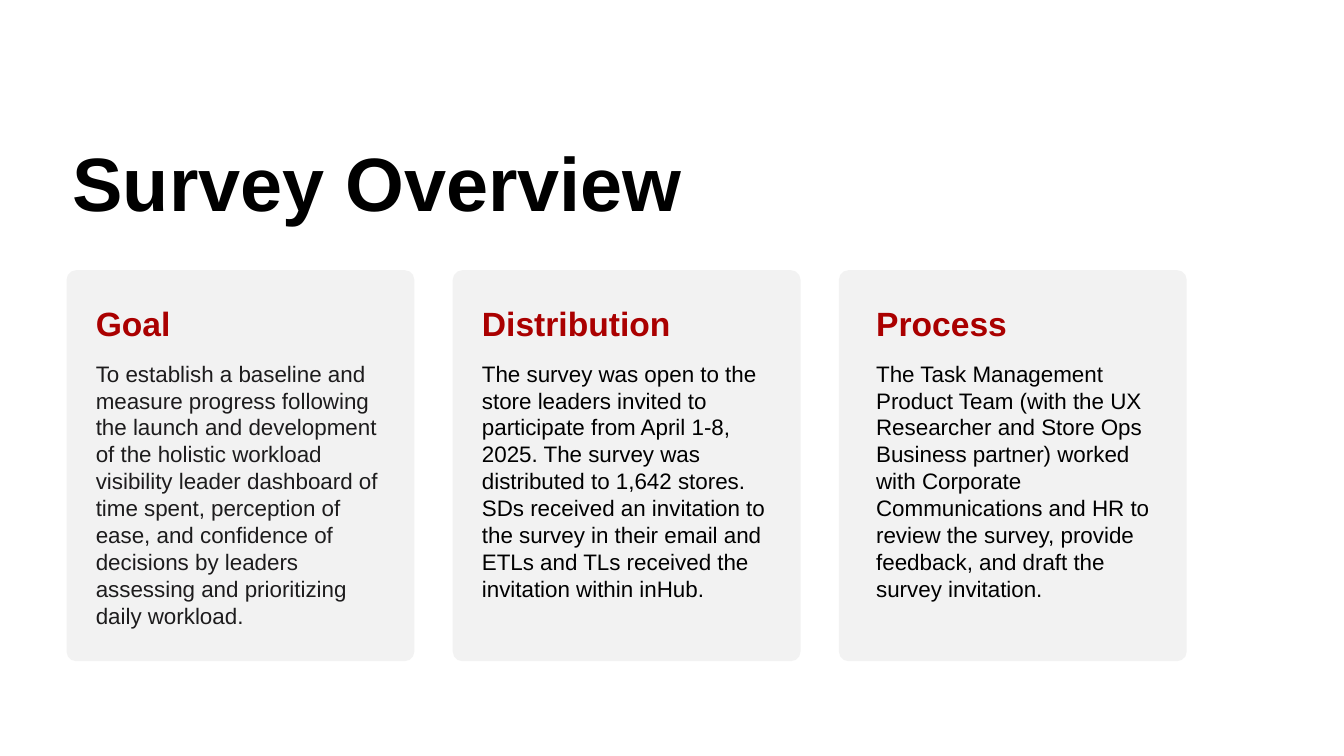
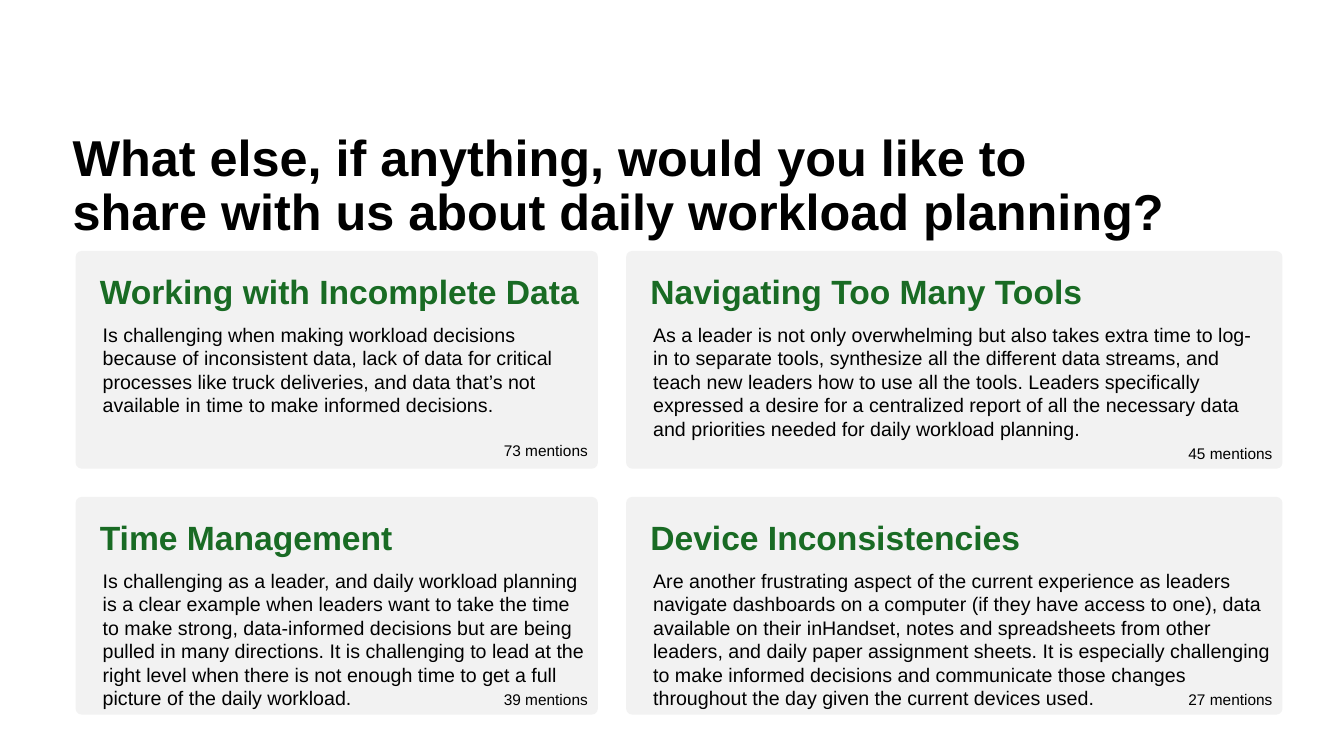
from dataclasses import dataclass

import pptx
import pptx.dml.color
import pptx.enum.shapes
import pptx.enum.text
import pptx.presentation
import pptx.shapes.base
import pptx.slide
import pptx.text.text
import pptx.util
from pptx.util import Inches

FONT = "Arial"
BLACK = "000000"
CHARCOAL = "1D1C1D"
RED = "AA0000"
GREEN = "196B24"
CARD_GREY = "F2F2F2"
CORNER_RATIO = 0.028
TIGHT_INSET = 0.03
NORMAL_INSET = 0.1
TITLE_ONLY_LAYOUT = 5


@dataclass(frozen=True)
class Box:
    left: float
    top: float
    width: float
    height: float


@dataclass(frozen=True)
class TextStyle:
    size: float
    color: str = BLACK
    bold: bool = False
    inset: float = NORMAL_INSET
    alignment: pptx.enum.text.PP_ALIGN = pptx.enum.text.PP_ALIGN.LEFT


@dataclass(frozen=True)
class OverviewCard:
    heading: str
    body: str
    body_color: str = BLACK
    indent: float = 0.26


@dataclass(frozen=True)
class ThemeCard:
    heading: str
    body: str
    mentions: str
    row: int
    column: int
    body_width: float
    mentions_top: float


TITLE_BOX = Box(0.62, 1.14, 11.04, 1.43)
MENTIONS_STYLE = TextStyle(11, alignment=pptx.enum.text.PP_ALIGN.RIGHT)

OVERVIEW_CARDS = [
    OverviewCard(
        "Goal",
        "To establish a baseline and measure progress following the launch and "
        "development of the holistic workload visibility leader dashboard of time "
        "spent, perception of ease, and confidence of decisions by leaders "
        "assessing and prioritizing daily workload.",
        body_color=CHARCOAL,
    ),
    OverviewCard(
        "Distribution",
        "The survey was open to the store leaders invited to participate from "
        "April 1-8, 2025. The survey was distributed to 1,642 stores. SDs received "
        "an invitation to the survey in their email and ETLs and TLs received the "
        "invitation within inHub.",
    ),
    OverviewCard(
        "Process",
        "The Task Management Product Team (with the UX Researcher and Store Ops "
        "Business partner) worked with Corporate Communications and HR to review "
        "the survey, provide feedback, and draft the survey invitation.",
        indent=0.34,
    ),
]

THEME_CARDS = [
    ThemeCard(
        "Working with Incomplete Data",
        "Is challenging when making workload decisions because of inconsistent "
        "data, lack of data for critical processes like truck deliveries, and data "
        "that’s not available in time to make informed decisions.",
        "73 mentions", row=0, column=0, body_width=4.86, mentions_top=4.33,
    ),
    ThemeCard(
        "Navigating Too Many Tools",
        "As a leader is not only overwhelming but also takes extra time to log-in "
        "to separate tools, synthesize all the different data streams, and teach "
        "new leaders how to use all the tools. Leaders specifically expressed a "
        "desire for a centralized report of all the necessary data and priorities "
        "needed for daily workload planning.",
        "45 mentions", row=0, column=1, body_width=6.16, mentions_top=4.36,
    ),
    ThemeCard(
        "Time Management",
        "Is challenging as a leader, and daily workload planning is a clear example "
        "when leaders want to take the time to make strong, data-informed decisions "
        "but are being pulled in many directions. It is challenging to lead at the "
        "right level when there is not enough time to get a full picture of the "
        "daily workload.",
        "39 mentions", row=1, column=0, body_width=5.01, mentions_top=6.8,
    ),
    ThemeCard(
        "Device Inconsistencies",
        "Are another frustrating aspect of the current experience as leaders "
        "navigate dashboards on a computer (if they have access to one), data "
        "available on their inHandset, notes and spreadsheets from other leaders, "
        "and daily paper assignment sheets. It is especially challenging to make "
        "informed decisions and communicate those changes throughout the day given "
        "the current devices used.",
        "27 mentions", row=1, column=1, body_width=6.33, mentions_top=6.8,
    ),
]


def rgb(color: str) -> pptx.dml.color.RGBColor:
    return pptx.dml.color.RGBColor.from_string(color)


def format_paragraph(paragraph: pptx.text.text._Paragraph, style: TextStyle) -> None:
    paragraph.alignment = style.alignment
    for run in paragraph.runs:
        run.font.name = FONT
        run.font.size = pptx.util.Pt(style.size)
        run.font.bold = style.bold
        run.font.color.rgb = rgb(style.color)


def add_titled_slide(
    presentation: pptx.presentation.Presentation, title: str, size: float
) -> pptx.slide.Slide:
    slide = presentation.slides.add_slide(presentation.slide_layouts[TITLE_ONLY_LAYOUT])
    shape = slide.shapes.title
    shape.left, shape.top = Inches(TITLE_BOX.left), Inches(TITLE_BOX.top)
    shape.width, shape.height = Inches(TITLE_BOX.width), Inches(TITLE_BOX.height)
    text_frame = shape.text_frame
    text_frame.text = title
    text_frame.word_wrap = True
    text_frame.auto_size = pptx.enum.text.MSO_AUTO_SIZE.NONE
    text_frame.vertical_anchor = pptx.enum.text.MSO_ANCHOR.MIDDLE
    paragraph = text_frame.paragraphs[0]
    paragraph.line_spacing = 0.9
    format_paragraph(paragraph, TextStyle(size, bold=True))
    return slide


def add_card(slide: pptx.slide.Slide, box: Box) -> None:
    shape = slide.shapes.add_shape(
        pptx.enum.shapes.MSO_SHAPE.ROUNDED_RECTANGLE,
        Inches(box.left), Inches(box.top), Inches(box.width), Inches(box.height),
    )
    shape.adjustments[0] = CORNER_RATIO
    shape.shadow.inherit = False
    shape.fill.solid()
    shape.fill.fore_color.rgb = rgb(CARD_GREY)
    shape.line.fill.background()


def add_text(slide: pptx.slide.Slide, box: Box, text: str, style: TextStyle) -> None:
    shape = slide.shapes.add_textbox(
        Inches(box.left), Inches(box.top), Inches(box.width), Inches(box.height)
    )
    text_frame = shape.text_frame
    text_frame.text = text
    text_frame.word_wrap = True
    text_frame.auto_size = pptx.enum.text.MSO_AUTO_SIZE.SHAPE_TO_FIT_TEXT
    text_frame.margin_left = text_frame.margin_right = Inches(style.inset)
    text_frame.margin_top = text_frame.margin_bottom = Inches(min(style.inset, 0.05))
    format_paragraph(text_frame.paragraphs[0], style)


def add_heading(slide: pptx.slide.Slide, box: Box, text: str, color: str) -> None:
    add_text(slide, box, text, TextStyle(24, color, bold=True, inset=TIGHT_INSET))


def build_overview(presentation: pptx.presentation.Presentation) -> None:
    slide = add_titled_slide(presentation, "Survey Overview", 54)
    first_left, top, width, height = 0.66, 2.68, 3.45, 3.88
    gap = 0.38
    text_width = 2.91
    for index, card in enumerate(OVERVIEW_CARDS):
        left = first_left + index * (width + gap)
        text_left = left + card.indent
        add_card(slide, Box(left, top, width, height))
        add_heading(slide, Box(text_left, top + 0.3, text_width, 0.46), card.heading, RED)
        add_text(
            slide, Box(text_left, top + 0.86, text_width, 2.75), card.body,
            TextStyle(16, card.body_color, inset=TIGHT_INSET),
        )


def build_themes(presentation: pptx.presentation.Presentation) -> None:
    slide = add_titled_slide(
        presentation,
        "What else, if anything, would you like to share with us about daily "
        "workload planning?",
        36,
    )
    first_left, first_top, height, gap = 0.75, 2.49, 2.16, 0.28
    widths = (5.18, 6.51)
    mentions_width = 1.38
    for card in THEME_CARDS:
        left = first_left + card.column * (widths[0] + gap)
        top = first_top + card.row * (height + gap)
        width = widths[card.column]
        add_card(slide, Box(left, top, width, height))
        add_heading(
            slide, Box(left + 0.21, top + 0.17, width - 0.21, 0.46), card.heading, GREEN
        )
        add_text(
            slide, Box(left + 0.17, top + 0.66, card.body_width, 1.5), card.body,
            TextStyle(14),
        )
        add_text(
            slide,
            Box(left + width - mentions_width, card.mentions_top, mentions_width, 0.29),
            card.mentions, MENTIONS_STYLE,
        )


def main() -> None:
    presentation = pptx.Presentation()
    presentation.slide_width = Inches(13.33)
    presentation.slide_height = Inches(7.5)
    build_overview(presentation)
    build_themes(presentation)
    presentation.save("out.pptx")


if __name__ == "__main__":
    main()
